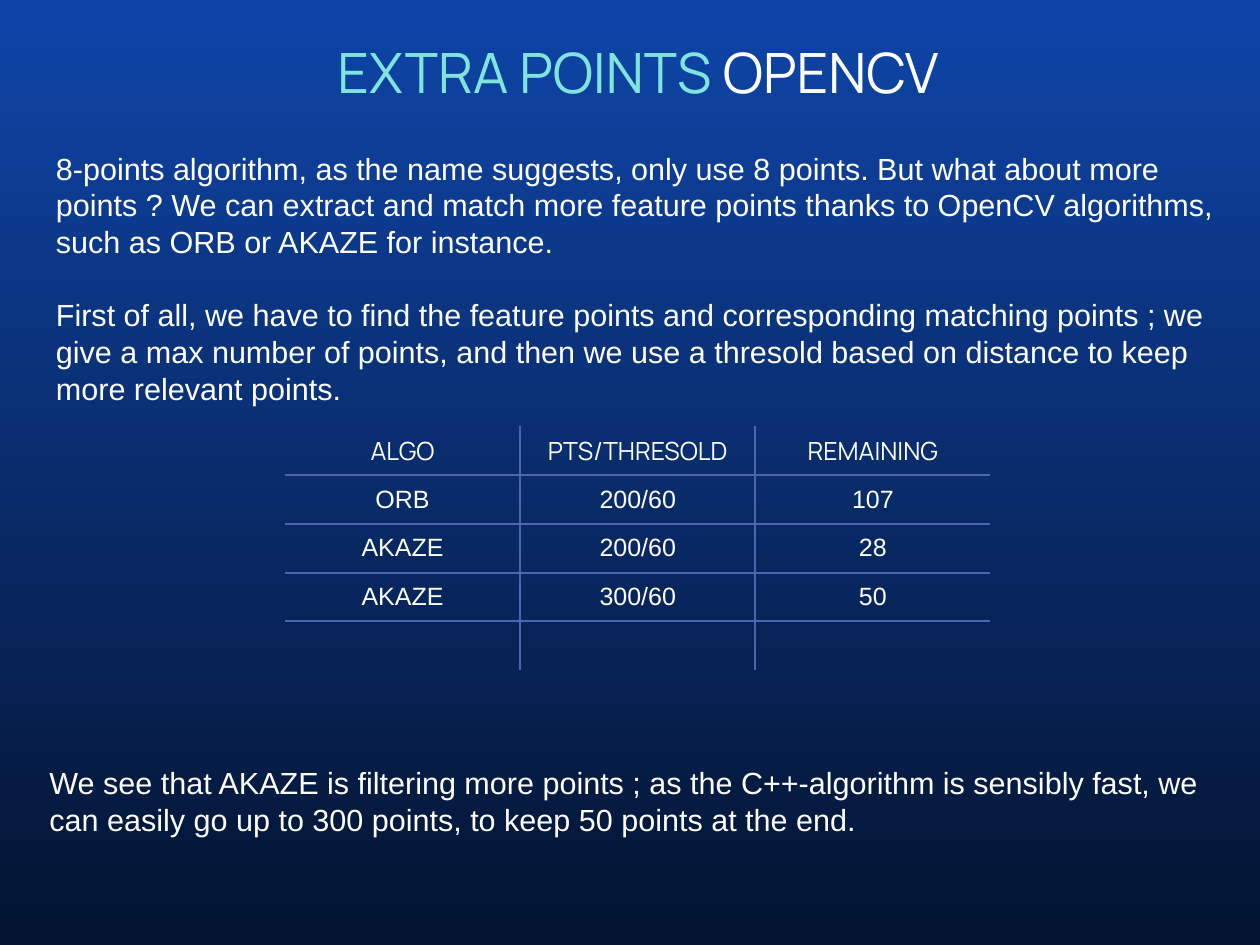
from lxml.etree import SubElement
from pptx import Presentation
from pptx.dml.color import RGBColor
from pptx.enum.text import MSO_ANCHOR as Anchor, PP_ALIGN as Align
from pptx.oxml.ns import qn
from pptx.util import Pt

COLORS = {
    "top": "0F45A8",
    "bottom": "031330",
    "accent": "80E4DC",
    "text": "FFFFFF",
    "grid": "4D65AC",
}


def write_text(paragraph, text, size=44, font="Arial", color="text", align=Align.LEFT):
    paragraph.alignment = align
    run = paragraph.add_run()
    run.text = text
    run.font.size = Pt(size)
    run.font.name = font
    run.font.bold = False
    run.font.color.rgb = RGBColor.from_string(COLORS[color])


class SlideBuilder:
    """Builds one slide in the blue gradient style, with lengths in points."""

    heading_font = "Manrope"
    line_pitch = 52.8
    grid_width = 3
    padding = 7.2

    def __init__(self, presentation):
        self.slide = presentation.slides.add_slide(presentation.slide_layouts[6])

    def background(self):
        fill = self.slide.background.fill
        fill.gradient()
        fill.gradient_angle = 270
        for stop, name in zip(fill.gradient_stops, ("top", "bottom")):
            stop.color.rgb = RGBColor.from_string(COLORS[name])

    def text_frame(self, left, top, width, height, padding=padding, anchor=Anchor.TOP):
        shape = self.slide.shapes.add_textbox(Pt(left), Pt(top), Pt(width), Pt(height))
        frame = shape.text_frame
        frame.word_wrap = True
        frame.vertical_anchor = anchor
        frame.margin_left = frame.margin_right = Pt(padding)
        frame.margin_top = frame.margin_bottom = Pt(padding)
        return frame

    def title(self, parts, left, top, width, height):
        frame = self.text_frame(left, top, width, height, 20.16, Anchor.MIDDLE)
        for text, color in parts:
            write_text(frame.paragraphs[0], text, size=80, font=self.heading_font,
                       color=color, align=Align.CENTER)

    def body(self, texts, left, top, width, height):
        frame = self.text_frame(left, top, width, height)
        for index, text in enumerate(texts):
            paragraph = frame.add_paragraph() if index else frame.paragraphs[0]
            paragraph.line_spacing = Pt(self.line_pitch)
            if index:
                paragraph.space_before = Pt(self.line_pitch)
            write_text(paragraph, text)

    def border(self, cell, side, visible):
        properties = cell._tc.get_or_add_tcPr()
        line = SubElement(properties, qn("a:ln" + side), w=str(Pt(self.grid_width)))
        if visible:
            fill = SubElement(line, qn("a:solidFill"))
            SubElement(fill, qn("a:srgbClr"), val=COLORS["grid"])
        else:
            SubElement(line, qn("a:noFill"))

    def table(self, rows, left, top, column_width, row_height):
        row_count, column_count = len(rows), len(rows[0])
        table = self.slide.shapes.add_table(
            row_count, column_count, Pt(left), Pt(top),
            Pt(column_width * column_count), Pt(row_height * row_count)).table
        table.first_row = table.horz_banding = False
        for column in table.columns:
            column.width = Pt(column_width)
        for row_index, row in enumerate(rows):
            table.rows[row_index].height = Pt(row_height)
            for column_index, text in enumerate(row):
                cell = table.cell(row_index, column_index)
                self.border(cell, "L", column_index > 0)
                self.border(cell, "R", column_index < column_count - 1)
                self.border(cell, "T", row_index > 0)
                self.border(cell, "B", row_index < row_count - 1)
                cell.fill.background()
                cell.vertical_anchor = Anchor.MIDDLE
                cell.margin_left = cell.margin_right = Pt(self.padding)
                cell.margin_top = cell.margin_bottom = Pt(self.padding)
                if text:
                    font = "Arial" if row_index else self.heading_font
                    write_text(cell.text_frame.paragraphs[0], text, size=36,
                               font=font, align=Align.CENTER)


def main():
    presentation = Presentation()
    presentation.slide_width = Pt(1814.4)
    presentation.slide_height = Pt(1360.8)
    builder = SlideBuilder(presentation)
    builder.background()
    builder.title([("EXTRA POINTS ", "accent"), ("OPENCV", "text")],
                  73.44, 43.92, 1690.56, 117.36)
    builder.body([
        "8-points algorithm, as the name suggests, only use 8 points. But what about "
        "more points ? We can extract and match more feature points thanks to OpenCV "
        "algorithms, such as ORB or AKAZE for instance.",
        "First of all, we have to find the feature points and corresponding matching "
        "points ; we give a max number of points, and then we use a thresold based on "
        "distance to keep more relevant points.",
    ], 73.44, 208.08, 1709.28, 247.68)
    builder.table([
        ("ALGO", "PTS/THRESOLD", "REMAINING"),
        ("ORB", "200/60", "107"),
        ("AKAZE", "200/60", "28"),
        ("AKAZE", "300/60", "50"),
        ("", "", ""),
    ], 410.4, 614.16, 338.64, 70.13)
    builder.body([
        "We see that AKAZE is filtering more points ; as the C++-algorithm is sensibly "
        "fast, we can easily go up to 300 points, to keep 50 points at the end.",
    ], 64.08, 1092.96, 1709.28, 115.2)
    presentation.save("out.pptx")


if __name__ == "__main__":
    main()
